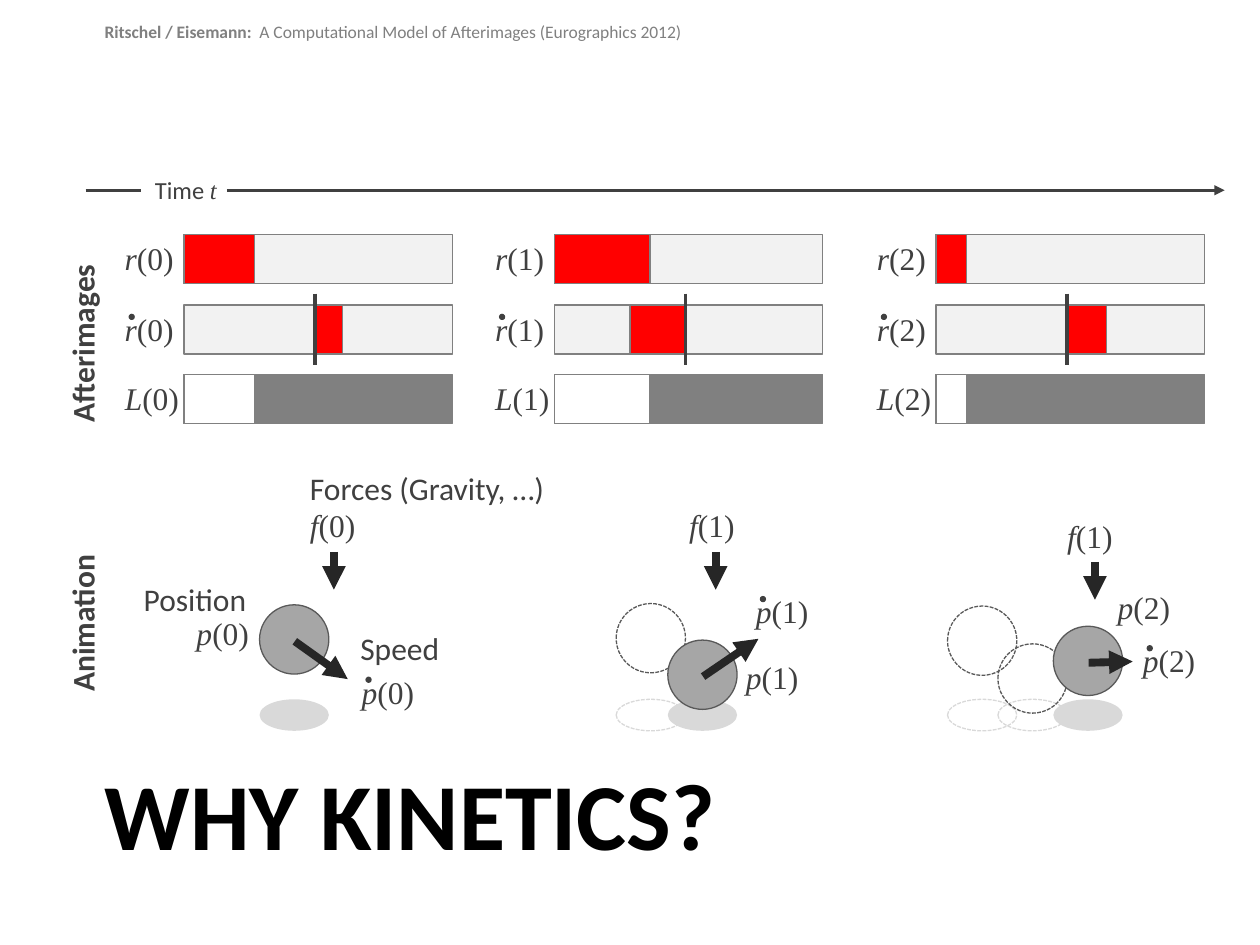
from lxml.etree import SubElement
from pptx import Presentation
from pptx.dml.color import RGBColor
from pptx.enum.dml import MSO_LINE
from pptx.enum.shapes import MSO_CONNECTOR, MSO_SHAPE
from pptx.enum.text import MSO_ANCHOR, MSO_AUTO_SIZE
from pptx.oxml.ns import qn
from pptx.util import Inches, Pt

BLACK = RGBColor(0x00, 0x00, 0x00)
ARROW = RGBColor(0x26, 0x26, 0x26)
INK = RGBColor(0x40, 0x40, 0x40)
OUTLINE = RGBColor(0x59, 0x59, 0x59)
GRAY = RGBColor(0x80, 0x80, 0x80)
BALL = RGBColor(0xA6, 0xA6, 0xA6)
SHADOW = RGBColor(0xD9, 0xD9, 0xD9)
TRACK = RGBColor(0xF2, 0xF2, 0xF2)
WHITE = RGBColor(0xFF, 0xFF, 0xFF)
RED = RGBColor(0xFF, 0x00, 0x00)

SANS, SERIF = "Calibri", "Times New Roman"
BOLD, ITALIC, PLAIN = {"bold": True}, {"italic": True}, {}

HEADER = [
    ("Ritschel / Eisemann:  ", SANS, BOLD),
    ("A Computational Model of Afterimages (Eurographics 2012)", SANS, PLAIN),
]
TITLE = [("WHY KINETICS?", SANS, BOLD)]
TIME = [("Time ", SANS, PLAIN), ("t", SERIF, ITALIC)]

# text, left, top, width, format, rotation
CAPTIONS = [
    ("Forces (Gravity, …)", 2.46, 3.72, 1.97, PLAIN, 0),
    ("Speed", 2.86, 4.99, 0.66, PLAIN, 0),
    ("Position", 1.14, 4.6, 0.85, PLAIN, 0),
    ("Animation", 0.06, 4.75, 1.18, BOLD, 270),
    ("Afterimages", -0.04, 2.51, 1.38, BOLD, 270),
]

# Bars for each time step: left edge, level, signed rate
AFTERIMAGES = [(1.46, 0.56, 0.22), (4.4, 0.76, -0.44), (7.43, 0.24, 0.31)]
LEVEL_TOP, RATE_TOP, LUMINANCE_TOP = 1.86, 2.42, 2.97
BAR_WIDTH, BAR_HEIGHT, ZERO = 2.13, 0.39, 1.04

# Ball positions, label positions, force arrows and speed vectors per time step
ANIMATION = [
    {"trail": [], "ball": (2.06, 4.8), "speed": (0.42, 0.3),
     "force": ("(0)", 2.46, 4.02), "force_x": 2.65,
     "position": ("(0)", 1.56, 4.87), "velocity": ("(0)", 2.87, 5.34)},
    {"trail": [(4.89, 4.79)], "ball": (5.3, 5.08), "speed": (0.44, -0.3),
     "force": ("(1)", 5.47, 4.02), "force_x": 5.68,
     "position": ("(1)", 5.92, 5.22), "velocity": ("(1)", 6, 4.7)},
    {"trail": [(7.52, 4.81), (7.92, 5.11)], "ball": (8.36, 4.97),
     "speed": (0.35, -0.01), "force": ("(1)", 8.47, 4.1), "force_x": 8.69,
     "position": ("(2)", 8.87, 4.67), "velocity": ("(2)", 9.07, 5.09)},
]
BALL_SIZE, SHADOW_TOP, SHADOW_HEIGHT = 0.55, 5.55, 0.25

prs = Presentation()
prs.slide_width, prs.slide_height = Inches(10), Inches(7.5)
slide = prs.slides.add_slide(prs.slide_layouts[6])


def add_text(runs, left, top, width, height=0.3, size=18, color=INK,
             wrap=False, rotation=0):
    box = slide.shapes.add_textbox(*map(Inches, (left, top, width, height)))
    box.rotation = rotation
    frame = box.text_frame
    settings = {
        "margin_left": 0, "margin_right": 0, "margin_top": 0,
        "margin_bottom": 0, "vertical_anchor": MSO_ANCHOR.TOP,
        "word_wrap": wrap,
        "auto_size": MSO_AUTO_SIZE.NONE if wrap
        else MSO_AUTO_SIZE.SHAPE_TO_FIT_TEXT,
    }
    for name, value in settings.items():
        setattr(frame, name, value)
    for text, face, style in runs:
        run = frame.paragraphs[0].add_run()
        run.text = text
        run.font.color.rgb = color
        for name, value in {"name": face, "size": Pt(size), **style}.items():
            setattr(run.font, name, value)


def add_figure(kind, left, top, width, height, fill=None, line=None,
               dashed=False):
    figure = slide.shapes.add_shape(
        kind, *map(Inches, (left, top, width, height)))
    figure.shadow.inherit = False
    if fill is None:
        figure.fill.background()
    else:
        figure.fill.solid()
        figure.fill.fore_color.rgb = fill
    if line is None:
        figure.line.fill.background()
    else:
        figure.line.color.rgb = line
        figure.line.width = Pt(0.75)
    if dashed:
        figure.line.dash_style = MSO_LINE.SQUARE_DOT


def add_line(x1, y1, x2, y2, color, weight, arrow=False):
    line = slide.shapes.add_connector(
        MSO_CONNECTOR.STRAIGHT, *map(Inches, (x1, y1, x2, y2)))
    line.line.color.rgb = color
    line.line.width = Pt(weight)
    properties = line._element.spPr
    if arrow:
        SubElement(properties.find(qn("a:ln")), qn("a:tailEnd"),
                   type="triangle")
    SubElement(properties, qn("a:effectLst"))


def add_bar(left, top, width, fill):
    add_figure(MSO_SHAPE.RECTANGLE, left, top, width, BAR_HEIGHT, fill, GRAY)


def add_symbol(letter, argument, left, top, width, dotted=False):
    """Write a function such as r(0), with a derivative dot if asked."""
    add_text([(letter, SERIF, ITALIC), (argument, SERIF, PLAIN)],
             left, top, width)
    if dotted:
        add_figure(MSO_SHAPE.OVAL, left + 0.03, top + 0.03, 0.05, 0.05, INK)


def add_ball(left, top, ghost=False):
    """Draw a ball with its shadow on the ground; a ghost is dashed only."""
    add_figure(MSO_SHAPE.OVAL, left, SHADOW_TOP, BALL_SIZE, SHADOW_HEIGHT,
               None if ghost else SHADOW, SHADOW if ghost else None, ghost)
    add_figure(MSO_SHAPE.OVAL, left, top, BALL_SIZE, BALL_SIZE,
               None if ghost else BALL, OUTLINE, ghost)


add_text(HEADER, 0.83, 0.17, 8.58, size=10, color=GRAY, wrap=True)
add_text(TITLE, 0.83, 6, 8.58, 1.39, size=54, color=BLACK, wrap=True)

add_line(0.68, 1.51, 1.12, 1.51, INK, 1.5)
add_text(TIME, 1.23, 1.39, 0.57, 0.33, size=14, wrap=True)
add_line(1.8, 1.51, 9.72, 1.51, INK, 1.5, arrow=True)

for step, (left, level, rate) in enumerate(AFTERIMAGES):
    argument = f"({step})"
    zero = left + ZERO
    label_left = left - 0.47
    add_bar(left, LEVEL_TOP, BAR_WIDTH, TRACK)
    add_bar(left, LEVEL_TOP, level, RED)
    add_bar(left, RATE_TOP, BAR_WIDTH, TRACK)
    add_bar(min(zero, zero + rate), RATE_TOP, abs(rate), RED)
    add_line(zero, 2.33, zero, 2.9, INK, 2)
    add_bar(left, LUMINANCE_TOP, BAR_WIDTH, GRAY)
    add_bar(left, LUMINANCE_TOP, level, WHITE)
    add_symbol("r", argument, label_left, LEVEL_TOP + 0.04, 0.4)
    add_symbol("r", argument, label_left, RATE_TOP + 0.04, 0.4, dotted=True)
    add_symbol("L", argument, label_left, LUMINANCE_TOP + 0.04, 0.45)

for step in ANIMATION:
    for ghost in step["trail"]:
        add_ball(*ghost, ghost=True)
    ball_left, ball_top = step["ball"]
    add_ball(ball_left, ball_top)
    start_x, start_y = ball_left + 0.28, ball_top + 0.29
    speed_x, speed_y = step["speed"]
    add_line(start_x, start_y, start_x + speed_x, start_y + speed_y,
             ARROW, 4.5, arrow=True)
    force_x, force_top = step["force_x"], step["force"][2]
    add_symbol("f", *step["force"], 0.38)
    add_line(force_x, force_top + 0.36, force_x, force_top + 0.66,
             ARROW, 4.5, arrow=True)
    add_symbol("p", *step["position"], 0.43)
    add_symbol("p", *step["velocity"], 0.43, dotted=True)

for text, left, top, width, style, rotation in CAPTIONS:
    add_text([(text, SANS, style)], left, top, width, rotation=rotation)

prs.save("out.pptx")
